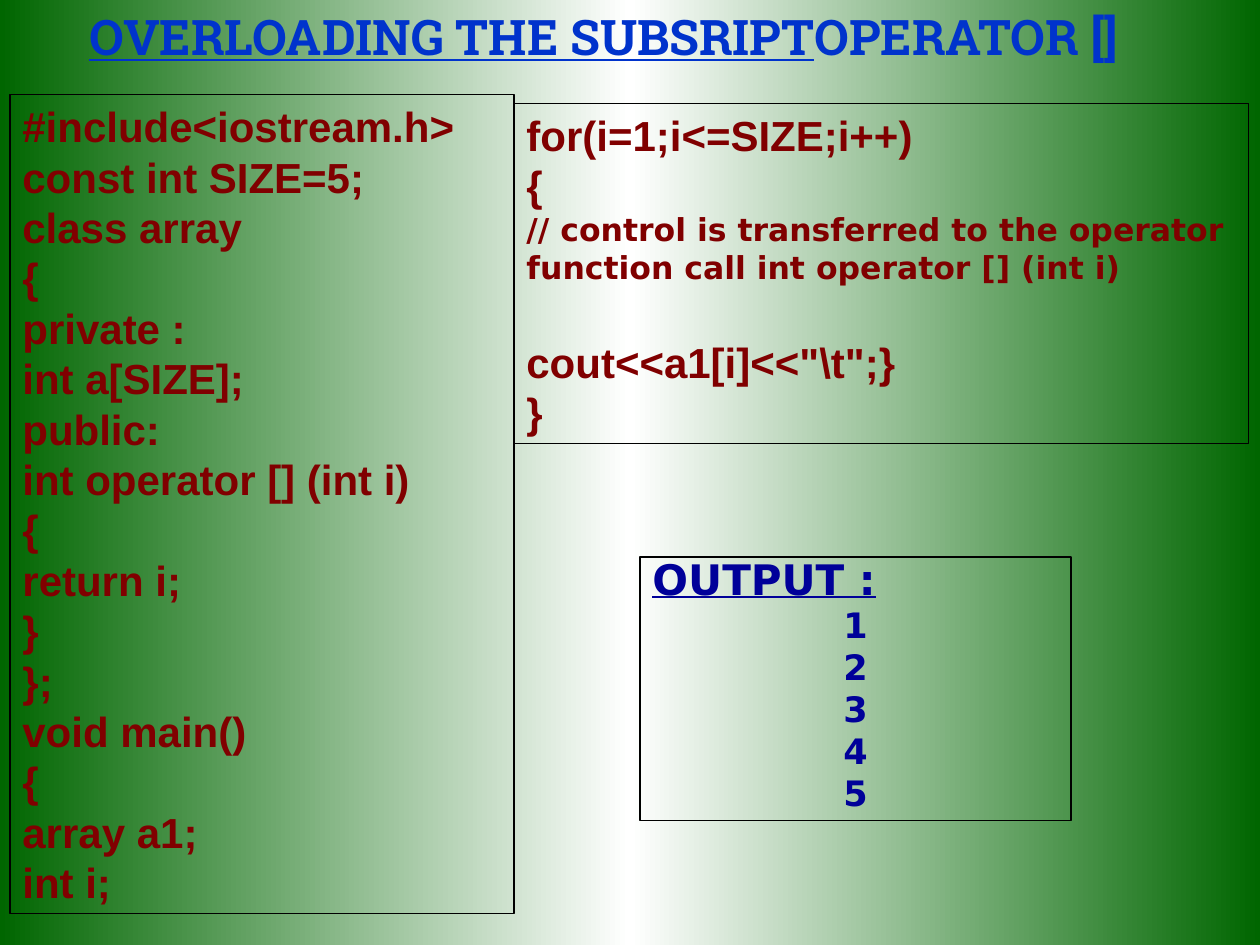
from copy import deepcopy
from dataclasses import dataclass

from pptx import Presentation, util as u
from pptx.dml.color import RGBColor
from pptx.enum import shapes, text
from pptx.oxml.ns import qn


@dataclass(frozen=True)
class Theme:
    green: str = "006600"
    white: str = "FFFFFF"
    black: str = "000000"
    maroon: str = "800000"
    navy: str = "000099"
    blue: str = "0033CC"
    code_font: str = "Arial"
    note_font: str = "DejaVu Sans"
    title_font: str = "Roboto Slab"
    title_size: int = 28
    code_size: int = 24
    result_size: int = 20
    note_size: int = 18
    leading: float = 1.2
    border: float = 0.75


THEME = Theme()
CODE = dict(font=THEME.code_font, size=THEME.code_size, color=THEME.maroon)
NOTE = dict(font=THEME.note_font, size=THEME.note_size, color=THEME.maroon)
HEADING = dict(font=THEME.note_font, size=THEME.code_size, color=THEME.navy,
               underline=True, leading=0.96)
RESULT = dict(font=THEME.note_font, size=THEME.result_size, color=THEME.navy,
              align=text.PP_ALIGN.CENTER)
TITLE = dict(font=THEME.title_font, size=THEME.title_size, color=THEME.blue,
             underline=True, align=text.PP_ALIGN.CENTER)

CLASS_CODE = [
    "#include<iostream.h>",
    "const int SIZE=5;",
    "class array",
    "{",
    "private :",
    "int a[SIZE];",
    "public:",
    "int operator [] (int i)",
    "{",
    "return i;",
    "}",
    "};",
    "void main()",
    "{",
    "array a1;",
    "int i;",
]
LOOP_START = ["for(i=1;i<=SIZE;i++)", "{"]
LOOP_NOTE = ("// control is transferred to the operator "
             "function call int operator [] (int i)")
LOOP_PRINT = 'cout<<a1[i]<<"\\t";}'
RESULTS = ["1", "2", "3", "4", "5"]

# Each panel: left, top, width, height in inches, then its lines with formats.
PANELS = [
    ((0.08, 0.75, 4, 6.5), [(line, CODE) for line in CLASS_CODE]),
    ((4.08, 0.82, 5.83, 2.7),
     [(line, CODE) for line in LOOP_START]
     + [(LOOP_NOTE, NOTE),
        (LOOP_PRINT, {**CODE, "before": THEME.code_size * THEME.leading}),
        ("}", CODE)]),
    ((5.08, 4.42, 3.42, 2.09),
     [("OUTPUT :", HEADING)] + [(value, RESULT) for value in RESULTS]),
]
TITLE_PLACE = (0, 0, 9.58, 0.57)
TITLE_TEXT = "OVERLOADING THE SUBSRIPT"
TITLE_TAIL = "OPERATOR []"


def add_span(para, words, *, font, size, color, underline=False):
    span = para.add_run()
    span.text = words
    span.font.name = font
    span.font.size = u.Pt(size)
    span.font.bold = True
    span.font.underline = underline
    span.font.color.rgb = RGBColor.from_string(color)


def add_line(frame, words, *, align=text.PP_ALIGN.LEFT, before=0,
             leading=THEME.leading, **style):
    """Fill the frame's empty first paragraph, or append a new one."""
    para = frame.paragraphs[0]
    if para.runs:
        para = frame.add_paragraph()
    para.alignment = align
    para.space_before = u.Pt(before)
    para.line_spacing = u.Pt(style["size"] * leading)
    add_span(para, words, **style)
    return para


def prepare_frame(box):
    frame = box.text_frame
    frame.word_wrap = True
    frame.vertical_anchor = text.MSO_ANCHOR.TOP
    return frame


def add_panel(page, place, lines):
    box = page.shapes.add_shape(shapes.MSO_SHAPE.RECTANGLE, *map(u.Inches, place))
    box.shadow.inherit = False
    box.fill.background()
    box.line.color.rgb = RGBColor.from_string(THEME.black)
    box.line.width = u.Pt(THEME.border)
    frame = prepare_frame(box)
    for words, style in lines:
        add_line(frame, words, **style)


def add_title(page):
    box = page.shapes.add_textbox(*map(u.Inches, TITLE_PLACE))
    para = add_line(prepare_frame(box), TITLE_TEXT, **TITLE)
    add_span(para, TITLE_TAIL, font=THEME.title_font, size=THEME.title_size,
             color=THEME.blue)


def paint_background(page):
    fill = page.background.fill
    fill.gradient()
    fill.gradient_angle = 0
    stops = page.element.find(".//" + qn("a:gsLst"))
    stops.append(deepcopy(stops[-1]))
    colors = [THEME.green, THEME.white, THEME.green]
    for index, (stop, color) in enumerate(zip(fill.gradient_stops, colors)):
        stop.position = index / 2
        stop.color.rgb = RGBColor.from_string(color)


def main():
    deck = Presentation()
    deck.slide_width, deck.slide_height = u.Inches(10), u.Inches(7.5)
    page = deck.slides.add_slide(deck.slide_layouts[6])
    paint_background(page)
    class_panel, *other_panels = PANELS
    add_panel(page, *class_panel)
    add_title(page)
    for panel in other_panels:
        add_panel(page, *panel)
    deck.save("out.pptx")


if __name__ == "__main__":
    main()
